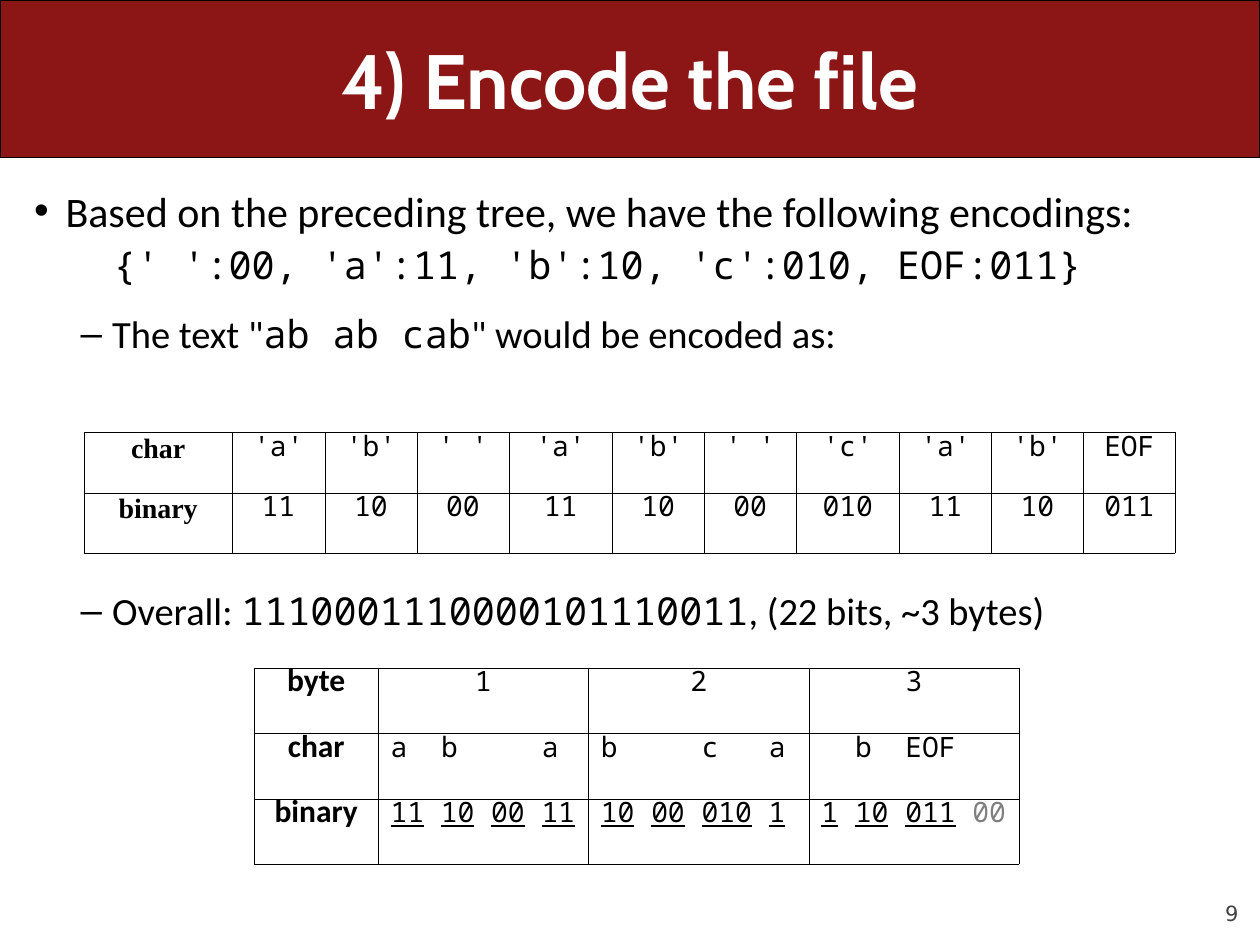
from dataclasses import dataclass, replace

from lxml.etree import SubElement
from pptx import Presentation
from pptx.dml.color import RGBColor
from pptx.enum.shapes import MSO_SHAPE as Preset
from pptx.enum.text import MSO_ANCHOR as Anchor, MSO_AUTO_SIZE as AutoSize, PP_ALIGN as Align
from pptx.oxml.ns import qn
from pptx.util import Inches, Pt


@dataclass(frozen=True)
class Theme:
    banner: str = "8C1515"
    ink: str = "000000"
    white: str = "FFFFFF"
    padding: str = "808080"
    number: str = "424242"
    mono: str = "Noto Sans Mono"
    sans: str = "Calibri"
    border: float = 0.06
    tight: float = 0.58


THEME = Theme()


@dataclass(frozen=True)
class Style:
    font: str
    size: int
    color: str = THEME.ink
    bold: bool = False
    underline: bool = False


TITLE = Style("Cabin", 44, THEME.white, bold=True)
LEAD = Style(THEME.sans, 24)
BODY = Style(THEME.sans, 22)
CODE = Style(THEME.mono, 22)
CELL = Style(THEME.mono, 16)
BITS = replace(CELL, underline=True)
PADDING = replace(CELL, color=THEME.padding)
CHAR_HEAD = Style("Times New Roman", 16, bold=True)
BYTE_HEAD = Style(THEME.sans, 18, bold=True)
NUMBER = Style("DejaVu Sans", 12, THEME.number)

# Width in inches of one monospaced character in a table cell
CHAR_WIDTH = 0.6 * CELL.size / 72


def rgb(color):
    return RGBColor.from_string(color)


def write(paragraph, *pieces):
    """Add (text, style) pieces as formatted runs."""
    for text, style in pieces:
        run = paragraph.add_run()
        run.text = text
        font = run.font
        font.name, font.size = style.font, Pt(style.size)
        font.bold, font.underline = style.bold, style.underline
        font.color.rgb = rgb(style.color)


def place(shape, left, top, width, height):
    shape.left, shape.top = Inches(left), Inches(top)
    shape.width, shape.height = Inches(width), Inches(height)


def add_banner(slide):
    banner = slide.shapes.add_shape(Preset.ROUNDED_RECTANGLE, 0, 0, Inches(10), Inches(1.25))
    banner.adjustments[0] = 0
    banner.shadow.inherit = False
    banner.fill.solid()
    banner.fill.fore_color.rgb = rgb(THEME.banner)
    banner.line.color.rgb = rgb(THEME.ink)
    banner.line.width = Pt(0.75)
    # Put the banner behind the title
    slide.shapes.title.element.addprevious(banner.element)


def fill_title(title, text):
    place(title, 0.5, 0, 9, 1.25)
    frame = title.text_frame
    frame.auto_size = AutoSize.NONE
    frame.vertical_anchor = Anchor.MIDDLE
    frame.paragraphs[0].alignment = Align.CENTER
    write(frame.paragraphs[0], (text, TITLE))


def set_bullet(paragraph, bullet, margin, hanging):
    properties = paragraph._p.get_or_add_pPr()
    properties.set("marL", str(Inches(margin)))
    properties.set("indent", str(-Inches(hanging)))
    if bullet:
        color = SubElement(properties, qn("a:buClr"))
        SubElement(color, qn("a:srgbClr"), val=THEME.ink)
        SubElement(properties, qn("a:buFont"), typeface="Arial")
        SubElement(properties, qn("a:buChar"), char=bullet)
    else:
        SubElement(properties, qn("a:buNone"))


def fill_body(body, items):
    """Each item is (level, bullet, margin, hanging, space before, pieces)."""
    place(body, 0.17, 1.42, 9.67, 5.67)
    frame = body.text_frame
    frame.auto_size = AutoSize.NONE
    for index, (level, bullet, margin, hanging, space, pieces) in enumerate(items):
        paragraph = frame.add_paragraph() if index else frame.paragraphs[0]
        paragraph.level = level
        paragraph.space_before = Pt(space)
        set_bullet(paragraph, bullet, margin, hanging)
        write(paragraph, *pieces)


def set_borders(cell):
    properties = cell._tc.get_or_add_tcPr()
    for side in ("lnL", "lnR", "lnT", "lnB"):
        line = SubElement(properties, qn(f"a:{side}"), w=str(Pt(THEME.border)))
        fill = SubElement(line, qn("a:solidFill"))
        SubElement(fill, qn("a:srgbClr"), val=THEME.ink)


def add_grid(slide, left, top, widths, row_height, row_count):
    """Add an unfilled, thinly ruled table with no text."""
    frame = slide.shapes.add_table(
        row_count, len(widths), Inches(left), Inches(top),
        Inches(sum(widths)), Inches(row_height * row_count))
    table = frame.table
    table.first_row = table.horz_banding = False
    for column, width in zip(table.columns, widths):
        column.width = Inches(width)
    for row in table.rows:
        row.height = Inches(row_height)
    for cell in table.iter_cells():
        set_borders(cell)
        cell.fill.background()
    return table


def fill_cell(cell, *pieces, align=Align.CENTER, spacing=THEME.tight):
    paragraph = cell.text_frame.paragraphs[0]
    paragraph.alignment = align
    paragraph.line_spacing = spacing
    write(paragraph, *pieces)
    return paragraph


def fill_characters(cell, characters):
    """Set each character over its code, at a tab stop counted in characters."""
    text = "\t".join(characters.values())
    if 0 not in characters:
        text = "\t" + text
    paragraph = fill_cell(cell, (text, CELL), align=Align.LEFT)
    stops = SubElement(paragraph._p.get_or_add_pPr(), qn("a:tabLst"))
    for position in filter(None, characters):
        SubElement(stops, qn("a:tab"), pos=str(Inches(position * CHAR_WIDTH)), algn="l")


def fill_codes(cell, codes, padding=""):
    """Underline each code, with plain spaces between them."""
    pieces = []
    for code in codes.split():
        pieces += [(code, BITS), (" ", CELL)]
    pieces[-1:] = [(" ", CELL), (padding, PADDING)] if padding else []
    fill_cell(cell, *pieces, align=Align.LEFT)


def add_char_table(slide):
    codes = {"' '": "00", "'a'": "11", "'b'": "10", "'c'": "010", "EOF": "011"}
    message = ["'a'", "'b'", "' '", "'a'", "'b'", "' '", "'c'", "'a'", "'b'", "EOF"]
    widths = [1.17, 0.74, 0.73, 0.73, 0.82, 0.73, 0.73, 0.82, 0.73, 0.73, 0.73]
    table = add_grid(slide, 0.67, 3.43, widths, 0.48, 2)
    for row, heading in enumerate(("char", "binary")):
        fill_cell(table.cell(row, 0), (heading, CHAR_HEAD), spacing=0.8)
    for column, char in enumerate(message, 1):
        fill_cell(table.cell(0, column), (char, CELL))
        fill_cell(table.cell(1, column), (codes[char], CELL))


def add_byte_table(slide):
    # Characters by position, codes, padding bits
    byte_columns = [
        ({0: "a", 3: "b", 9: "a"}, "11 10 00 11", ""),
        ({0: "b", 6: "c", 10: "a"}, "10 00 010 1", ""),
        ({2: "b", 5: "EOF"}, "1 10 011", "00"),
    ]
    table = add_grid(slide, 2.02, 5.3, [0.98, 1.67, 1.75, 1.67], 0.52, 3)
    for row, heading in enumerate(("byte", "char", "binary")):
        fill_cell(table.cell(row, 0), (heading, BYTE_HEAD))
    for column, (characters, codes, padding) in enumerate(byte_columns, 1):
        fill_cell(table.cell(0, column), (str(column), CELL))
        fill_characters(table.cell(1, column), characters)
        fill_codes(table.cell(2, column), codes, padding)


def add_page_number(slide, text):
    box = slide.shapes.add_textbox(Inches(9), Inches(6.95), Inches(0.83), Inches(0.4))
    frame = box.text_frame
    frame.word_wrap = True
    frame.vertical_anchor = Anchor.BOTTOM
    frame.margin_left = frame.margin_right = frame.margin_top = frame.margin_bottom = 0
    frame.paragraphs[0].alignment = Align.RIGHT
    write(frame.paragraphs[0], (text, NUMBER))


def main():
    presentation = Presentation()
    presentation.slide_width, presentation.slide_height = Inches(10), Inches(7.5)
    slide = presentation.slides.add_slide(presentation.slide_layouts[1])

    # Heading
    add_banner(slide)
    fill_title(slide.shapes.title, "4) Encode the file")

    # Explanation, with room left for the first table
    fill_body(slide.placeholders[1], [
        (0, "•", 0.25, 0.25, 6,
         [("Based on the preceding tree, we have the following encodings:", LEAD)]),
        (1, "", 0.63, 0, 3, [("{' ':00, 'a':11, 'b':10, 'c':010, EOF:011}", CODE)]),
        (1, "–", 0.62, 0.25, 13,
         [('The text "', BODY), ("ab ab cab", CODE), ('" would be encoded as:', BODY)]),
        (1, "–", 0.62, 0.25, 132,
         [("Overall: ", BODY), ("1110001110000101110011", CODE),
          (", (22 bits, ~3 bytes)", BODY)]),
    ])

    # Encoding tables
    add_char_table(slide)
    add_byte_table(slide)

    add_page_number(slide, "9")
    presentation.save("out.pptx")


if __name__ == "__main__":
    main()
